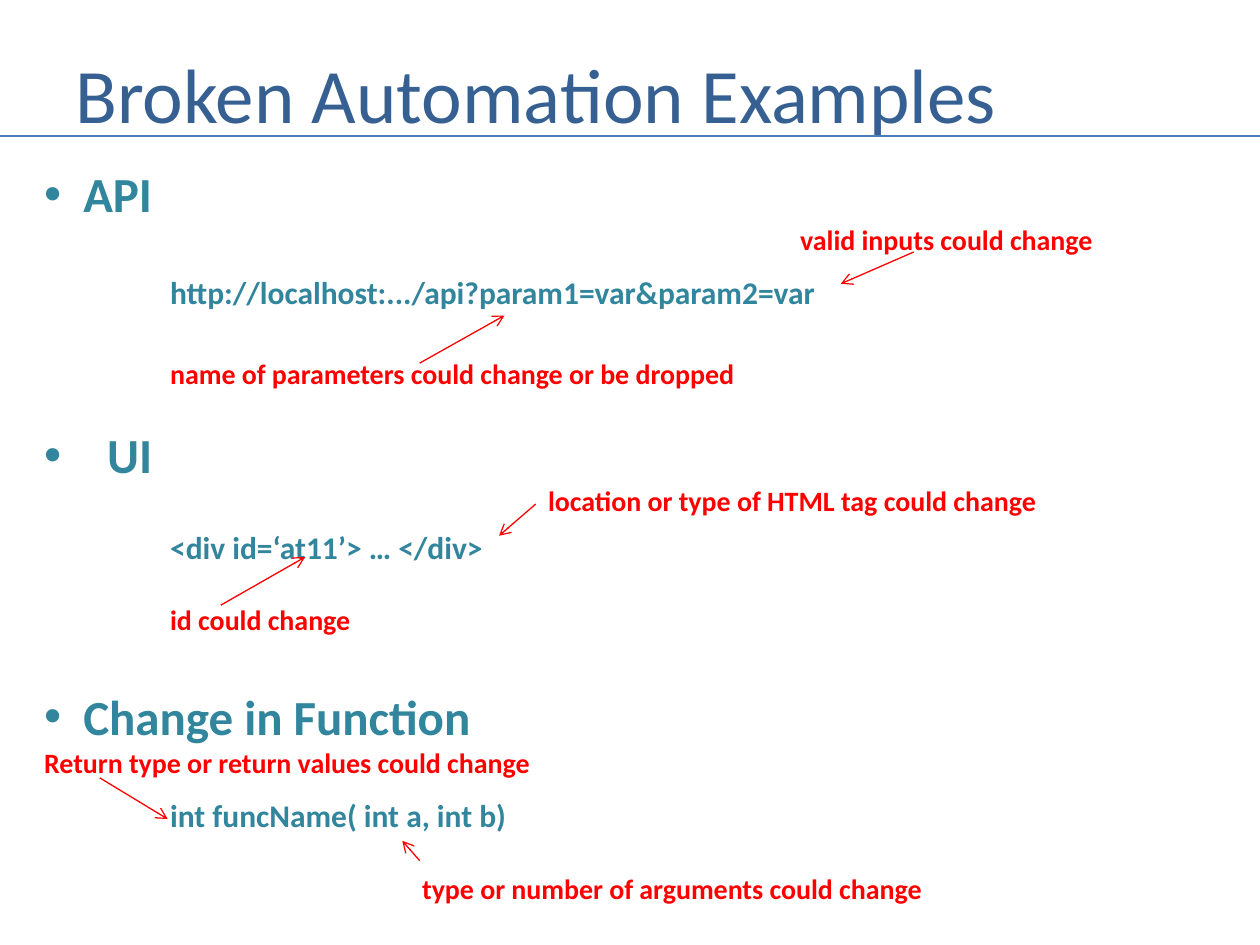
from lxml import etree
from pptx import Presentation
from pptx import util as u
from pptx.dml.color import RGBColor
from pptx.enum import shapes, text
from pptx.oxml.ns import qn

TITLE_BLUE, RULE_BLUE, TEAL, RED = "376092", "4B7EBC", "31859C", "FF0000"
INCH = 2.54  # body indents follow one-inch tab stops, in cm

# Each line: kind, words, left indent (cm), space before (pt)
LINES = [
    ("topic", "API", 0.79, 0),
    ("note", "valid inputs could change", 6 * INCH, 0),
    ("code", "http://localhost:.../api?param1=var&param2=var", INCH, 9.5),
    ("note", "name of parameters could change or be dropped", INCH, 26),
    ("topic", "UI", 1.27, 20),
    ("note", "location or type of HTML tag could change", 4 * INCH, 0),
    ("code", "<div id=‘at11’> … </div>", INCH, 6),
    ("note", "id could change", INCH, 21),
    ("topic", "Change in Function", 0.79, 29),
    ("note", "Return type or return values could change", 0, 0),
    ("code", "int funcName( int a, int b)", INCH, 9.5),
    ("note", "type or number of arguments could change", 3 * INCH, 22),
]
STYLES = {"topic": (28, TEAL), "code": (18, TEAL), "note": (16, RED)}

# Arrows from a note to the code it is about, in cm within the body
ARROWS = [
    ((17.78, 1.9), (16.31, 2.54)),
    ((7.82, 4.14), (9.53, 3.18)),
    ((3.81, 9.02), (5.51, 8.05)),
    ((10.16, 6.98), (9.42, 7.62)),
    ((7.82, 14.17), (7.47, 13.77)),
    ((1.37, 12.5), (2.74, 13.33)),
]


def color(value):
    return RGBColor.from_string(value)


def style(paragraph, size, value, bold=False):
    for run in paragraph.runs:
        run.font.name = "Calibri"
        run.font.size = u.Pt(size)
        run.font.bold = bold
        run.font.color.rgb = color(value)


def add_frame(slide, box):
    frame = slide.shapes.add_textbox(*(u.Cm(side) for side in box)).text_frame
    frame.word_wrap = True
    return frame


def add_line(slide, start, end, value, width, arrow=False):
    line = slide.shapes.add_connector(
        shapes.MSO_CONNECTOR.STRAIGHT, *(u.Cm(c) for c in (*start, *end)))
    line.line.color.rgb = color(value)
    line.line.width = u.Pt(width)
    properties = line.line._get_or_add_ln()
    if arrow:
        etree.SubElement(properties, qn("a:tailEnd"), type="arrow")
    properties.addnext(etree.Element(qn("a:effectLst")))


def set_indent(paragraph, indent, bulleted):
    properties = paragraph._p.get_or_add_pPr()
    properties.set("marL", str(u.Cm(indent)))
    properties.set("indent", str(-u.Cm(indent) if bulleted else 0))
    if bulleted:
        etree.SubElement(properties, qn("a:buFont"), typeface="Arial")
        etree.SubElement(properties, qn("a:buChar"), char="•")


def add_header(slide, box):
    left, top, width, height = box
    # Title
    frame = add_frame(slide, (left + 1.27, top + 0.76, width - 2.34, 2.21))
    frame.vertical_anchor = text.MSO_ANCHOR.MIDDLE
    frame.text = "Broken Automation Examples"
    style(frame.paragraphs[0], 44, TITLE_BLUE)
    # Rule across the slide
    add_line(slide, (left, top + height), (left + width, top + height),
             RULE_BLUE, 1.5)


def add_body(slide, box):
    left, top = box[:2]
    # Topics, code and notes
    frame = add_frame(slide, box)
    frame.text = "\n".join(words for _, words, _, _ in LINES)
    for paragraph, (kind, _, indent, before) in zip(frame.paragraphs, LINES):
        set_indent(paragraph, indent, kind == "topic")
        paragraph.space_before = u.Pt(before)
        style(paragraph, *STYLES[kind], bold=True)
    # Arrows
    for start, end in ARROWS:
        add_line(slide, (left + start[0], top + start[1]),
                 (left + end[0], top + end[1]), RED, 0.75, arrow=True)


def main():
    deck = Presentation()
    deck.slide_width, deck.slide_height = u.Cm(25.4), u.Cm(19.05)
    slide = deck.slides.add_slide(deck.slide_layouts[6])
    add_header(slide, (0, 0, 25.4, 2.74))
    add_body(slide, (0.64, 3.18, 23.93, 15.39))
    deck.save("out.pptx")


if __name__ == "__main__":
    main()
